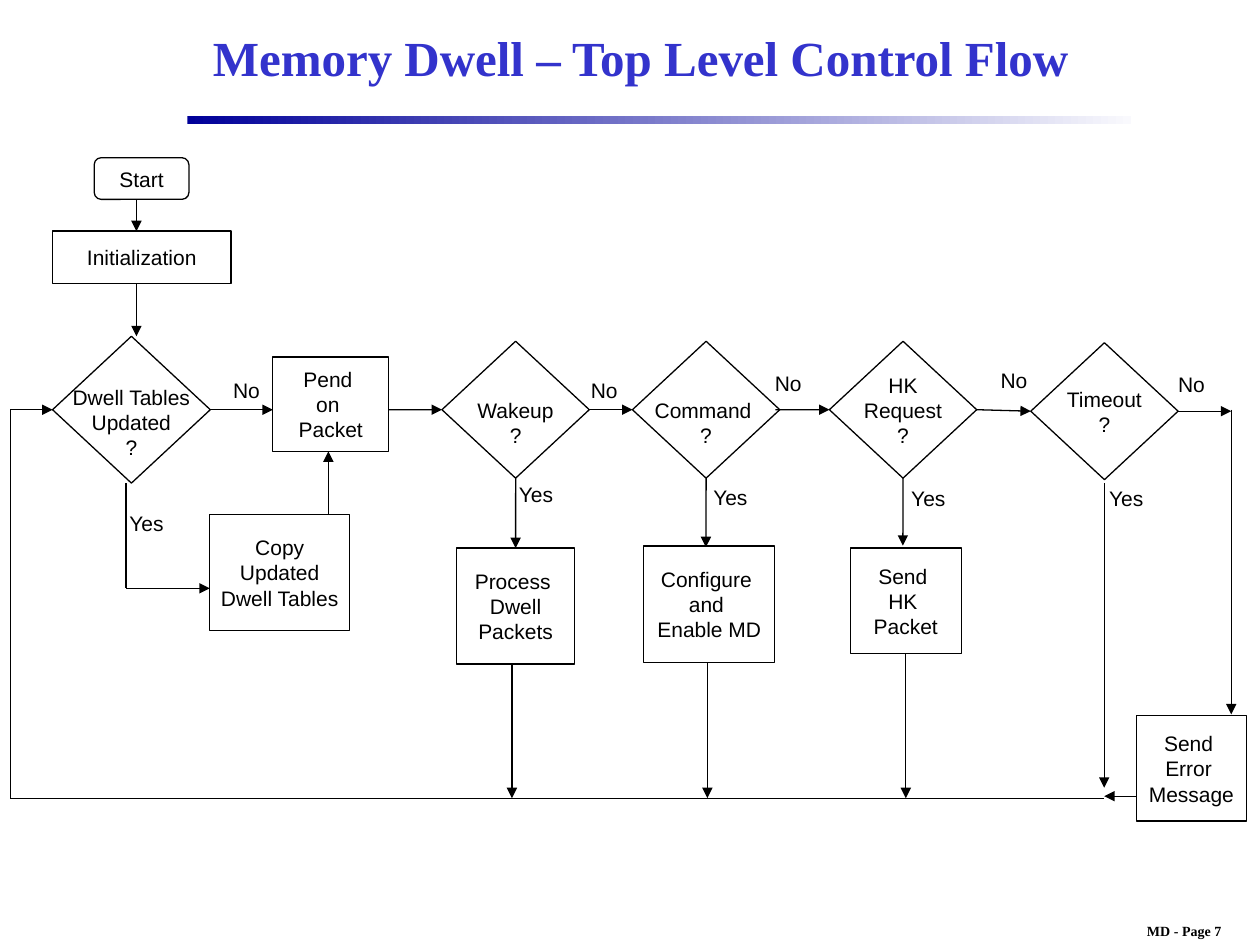
import pptx
import pptx.dml.color
import pptx.enum.shapes
import pptx.enum.text
import pptx.oxml.ns
import pptx.oxml.xmlchemy
import pptx.util

Cm = pptx.util.Cm
RGBColor = pptx.dml.color.RGBColor
Shape = pptx.enum.shapes.MSO_SHAPE
Align = pptx.enum.text.PP_ALIGN
Anchor = pptx.enum.text.MSO_ANCHOR
new_element = pptx.oxml.xmlchemy.OxmlElement

BLACK = RGBColor(0x00, 0x00, 0x00)
WHITE = RGBColor(0xFF, 0xFF, 0xFF)
TITLE_BLUE = RGBColor(0x33, 0x33, 0xCC)
BAR_START = RGBColor(0x00, 0x00, 0x99)
BAR_END = RGBColor(0xF9, 0xF9, 0xFD)

LINE_WIDTH = pptx.util.Pt(0.75)
TOP, LEFT, BOTTOM, RIGHT = range(4)


def write_text(box, text, size=12, font="Arial", color=BLACK, bold=False,
               align=Align.CENTER, anchor=Anchor.MIDDLE, wrap=False, lowered=0):
    """Put one paragraph per line; lowered adds to the top inset, in cm."""
    frame = box.text_frame
    frame.word_wrap = wrap
    frame.vertical_anchor = anchor
    frame.margin_top = Cm(0.13 + lowered)
    for number, line in enumerate(text.split("\n")):
        para = frame.paragraphs[0] if number == 0 else frame.add_paragraph()
        para.alignment = align
        span = para.add_run()
        span.text = line
        span.font.name = font
        span.font.size = pptx.util.Pt(size)
        span.font.bold = bold
        span.font.color.rgb = color


deck = pptx.Presentation()
deck.slide_width = Cm(25.4)
deck.slide_height = Cm(19.05)
page = deck.slides.add_slide(deck.slide_layouts[6])

# Title, gradient bar and page number
title = page.shapes.add_textbox(Cm(3.81), Cm(0.2), Cm(18.21), Cm(1.91))
write_text(title, "Memory Dwell – Top Level Control Flow", size=28,
           font="Times New Roman", color=TITLE_BLUE, bold=True, wrap=True)

bar = page.shapes.add_shape(Shape.RECTANGLE, Cm(3.78), Cm(2.33), Cm(19.02), Cm(0.18))
bar.shadow.inherit = False
bar.line.fill.background()
bar.fill.gradient()
bar.fill.gradient_angle = 0
for stop, color, position in zip(bar.fill.gradient_stops, (BAR_START, BAR_END), (0, 1)):
    stop.color.rgb = color
    stop.position = position

footer = page.shapes.add_textbox(Cm(22.3), Cm(18.47), Cm(3.15), Cm(0.58))
write_text(footer, "MD - Page 7", size=8, font="Times New Roman", bold=True,
           anchor=Anchor.TOP)

# Steps and decisions: name, shape, left, top, width, height, text, lowered
ROUND, RECT, DIAMOND = Shape.ROUNDED_RECTANGLE, Shape.RECTANGLE, Shape.DIAMOND
steps = [
    ("start", ROUND, 1.9, 3.18, 1.91, 0.84, "Start", 0),
    ("init", RECT, 1.06, 4.66, 3.6, 1.06, "Initialization", 0),
    ("tables", DIAMOND, 1.06, 6.78, 3.18, 2.96, "Dwell Tables\nUpdated\n?", 0.5),
    ("pend", RECT, 5.5, 7.2, 2.34, 1.9, "Pend \non \nPacket", 0),
    ("copy", RECT, 4.23, 10.37, 2.82, 2.34, "Copy\nUpdated\nDwell Tables", 0),
    ("wakeup", DIAMOND, 8.91, 6.88, 2.97, 2.76, "Wakeup\n?", 0.5),
    ("command", DIAMOND, 12.75, 6.88, 2.97, 2.76, "Command \n?", 0.5),
    ("request", DIAMOND, 16.72, 6.88, 2.97, 2.76, "HK\nRequest\n?", 0),
    ("timeout", DIAMOND, 20.78, 6.91, 2.97, 2.76, "Timeout\n?", 0),
    ("process", RECT, 9.2, 11.05, 2.39, 2.34, "Process \nDwell\nPackets", 0),
    ("configure", RECT, 12.98, 11.01, 2.64, 2.34, "Configure \nand \nEnable MD", 0),
    ("send_hk", RECT, 17.14, 11.05, 2.24, 2.12, "Send \nHK \nPacket", 0),
    ("send_error", RECT, 22.91, 14.43, 2.22, 2.12, "Send \nError \nMessage", 0),
]
boxes = {}
for name, kind, left, top, width, height, text, lowered in steps:
    box = page.shapes.add_shape(kind, Cm(left), Cm(top), Cm(width), Cm(height))
    box.shadow.inherit = False
    box.fill.solid()
    box.fill.fore_color.rgb = WHITE
    box.line.color.rgb = BLACK
    box.line.width = LINE_WIDTH
    write_text(box, text, lowered=lowered)
    boxes[name] = box

# Flow lines: each end is a point in cm or a (box name, side) joint
FLOW_Y, RETURN_Y, RETURN_X = 8.26, 16.09, 0.21
lines = [
    # start-up and table update
    ((2.75, 4.02), (2.75, 4.66), True),
    ((2.75, 5.72), (2.75, 6.78), True),
    (("tables", RIGHT), (5.5, FLOW_Y), True),
    ((2.54, 9.74), (2.54, 11.86), False),
    ((2.54, 11.86), (4.23, 11.86), True),
    ((6.62, 10.37), (6.62, 9.1), True),
    # chain of decisions
    ((7.84, FLOW_Y), ("wakeup", LEFT), True),
    (("wakeup", RIGHT), ("command", LEFT), True),
    ((15.63, FLOW_Y), ("request", LEFT), True),
    (("request", RIGHT), ("timeout", LEFT), True),
    (("timeout", RIGHT), (24.82, 8.29), True),
    ((24.82, FLOW_Y), (24.82, 14.4), True),
    # "Yes" branches
    (("wakeup", BOTTOM), ("process", TOP), True),
    (("command", BOTTOM), (14.23, 11.03), True),
    (("request", BOTTOM), (18.2, 11.0), True),
    ((22.26, 9.74), (22.26, 15.88), True),
    # return path
    ((10.32, 13.39), (10.32, RETURN_Y), True),
    ((14.26, 13.35), (14.26, RETURN_Y), True),
    (("send_hk", BOTTOM), (18.26, RETURN_Y), True),
    ((22.91, 16.05), (22.26, 16.05), True),
    ((22.26, RETURN_Y), (RETURN_X, RETURN_Y), False),
    ((RETURN_X, RETURN_Y), (RETURN_X, FLOW_Y), False),
    ((RETURN_X, FLOW_Y), ("tables", LEFT), True),
]
for begin, end, has_arrow in lines:
    points = [(0, 0) if isinstance(spot[0], str) else spot for spot in (begin, end)]
    line = page.shapes.add_connector(
        pptx.enum.shapes.MSO_CONNECTOR.STRAIGHT,
        *[Cm(length) for point in points for length in point])
    for spot, join in ((begin, line.begin_connect), (end, line.end_connect)):
        if isinstance(spot[0], str):
            join(boxes[spot[0]], spot[1])
    line.line.color.rgb = BLACK
    line.line.width = LINE_WIDTH
    properties = line._element.find(pptx.oxml.ns.qn("p:spPr"))
    if has_arrow:
        arrow = new_element("a:tailEnd")
        arrow.set("type", "triangle")
        properties.find(pptx.oxml.ns.qn("a:ln")).append(arrow)
    properties.append(new_element("a:effectLst"))

# Branch labels: left and top in cm
labels = {
    "Yes": [(2.36, 10.16), (10.21, 9.58), (14.13, 9.63), (18.12, 9.65), (22.11, 9.65)],
    "No": [(4.45, 7.49), (11.66, 7.49), (15.37, 7.34), (19.92, 7.28), (23.5, 7.37)],
}
for text, places in labels.items():
    for left, top in places:
        label = page.shapes.add_textbox(Cm(left), Cm(top), Cm(1.35), Cm(0.76))
        write_text(label, text, align=Align.LEFT, anchor=Anchor.TOP, wrap=True)

deck.save("out.pptx")
